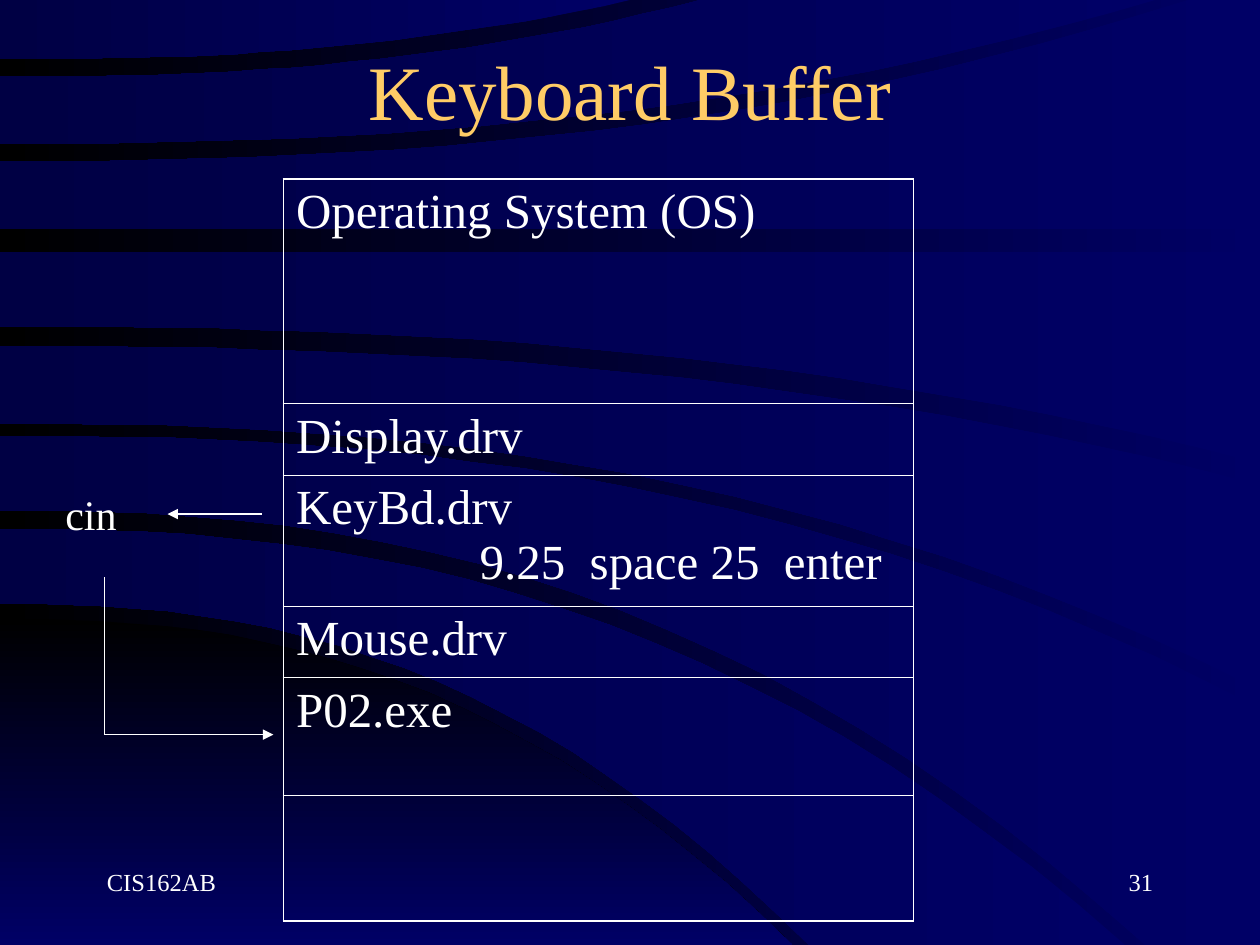
from lxml import etree
from pptx import Presentation
from pptx import util as u
from pptx.dml.color import RGBColor
from pptx.enum import shapes, text
from pptx.oxml import ns

FONT = "Times New Roman"
WHITE = RGBColor(255, 255, 255)
GOLD = RGBColor(255, 204, 102)
BLACK = RGBColor(0, 0, 0)
BLUE = RGBColor(0, 0, 102)
NAVY = RGBColor(0, 0, 68)

STEPS = 24
BEND = 2.4
HILL = ((4.91, 6.29, 7.5), (7.5, 6.29, 7.5))
BANDS = [
    ((4.2, 8.93, 7.5), (4.79, 6.42, 7.5)),
    ((3.46, 10, 5.62), (4.05, 9.09, 7.5)),
    ((2.75, 10, 3.85), (3.36, 10, 5.48)),
    ((2, 10, 2), (2.59, 10, 3.68)),
    ((1.28, 9.43, 0), (1.82, 10, 1.82)),
    ((0.61, 5.56, 0), (1.14, 9.17, 0)),
    ((0, 5, 0), (0.47, 5, 0)),
]
ROWS = [
    (1.78, ["Operating System (OS)"]),
    (0.57, ["Display.drv"]),
    (1.04, ["KeyBd.drv", "9.25  space 25  enter"]),
    (0.57, ["Mouse.drv"]),
    (0.93, ["P02.exe"]),
    (1, []),
]
LABELS = [
    ("cin", (0.42, 3.83, 1.08, 0.5), 24, text.PP_ALIGN.LEFT),
    ("31", (7.17, 6.83, 2.08, 0.5), 14, text.PP_ALIGN.RIGHT),
    ("CIS162AB", (0.75, 6.83, 2.08, 0.5), 14, text.PP_ALIGN.LEFT),
]
LINES = [
    ((1.33, 4.08), (2.08, 4.08), "a:headEnd"),
    ((0.83, 5.83), (2.17, 5.83), "a:tailEnd"),
    ((0.83, 4.58), (0.83, 5.83), None),
]


def size(inch):
    return u.Cm(inch * 2.54)


def write(para, words, pts, color=WHITE):
    run = para.add_run()
    run.text = words
    run.font.size = u.Pt(pts)
    run.font.name = FONT
    run.font.color.rgb = color


def blend(fill, first, last, angle):
    fill.gradient()
    fill.gradient_angle = angle
    for stop, color in zip(fill.gradient_stops, (first, last)):
        stop.color.rgb = color


def curve(start, right, end):
    parts = [i / STEPS for i in range(STEPS + 1)]
    return [(right * t, start + (end - start) * t ** BEND) for t in parts]


def sweep(slide, upper, lower, first, last, angle):
    ends = sorted([upper[1:], lower[1:]])
    corner = (ends[1][0], ends[0][1])
    points = curve(*upper) + [corner] + curve(*lower)[::-1]
    dots = [(round(x * 100), round(y * 100)) for x, y in points]
    pen = slide.shapes.build_freeform(*dots[0], scale=size(0.01))
    pen.add_line_segments(dots[1:], close=True)
    band = pen.convert_to_shape()
    band.shadow.inherit = False
    band.line.fill.background()
    blend(band.fill, first, last, angle)


def border(cell, side, pts):
    props = cell._tc.get_or_add_tcPr()
    line = etree.SubElement(props, ns.qn("a:ln" + side), w=str(u.Pt(pts)))
    fill = etree.SubElement(line, ns.qn("a:solidFill"))
    etree.SubElement(fill, ns.qn("a:srgbClr"), val=str(WHITE))


def stack(slide):
    high = sum(row[0] for row in ROWS)
    frame = slide.shapes.add_table(len(ROWS), 1, size(2.25), size(1.42), size(5), size(high))
    table = frame.table
    table.first_row = table.horz_banding = False
    for i, (tall, lines) in enumerate(ROWS):
        table.rows[i].height = size(tall)
        cell = table.cell(i, 0)
        top = 1.08 if i == 0 else 0.45
        base = 1.08 if i == len(ROWS) - 1 else 0.45
        for side, pts in zip("LRTB", (1.08, 1.08, top, base)):
            border(cell, side, pts)
        cell.fill.background()
        body = cell.text_frame
        for j, words in enumerate(lines):
            para = body.add_paragraph() if j else body.paragraphs[0]
            if j:
                para._p.get_or_add_pPr().set("marL", str(u.Cm(3.7)))
            else:
                para.space_before = u.Pt(7)
            write(para, words, 28)


def link(slide, start, end, tip):
    line = slide.shapes.add_connector(
        shapes.MSO_CONNECTOR.STRAIGHT, *map(size, start + end))
    line.line.color.rgb = WHITE
    line.line.width = u.Pt(0.75)
    props = line._element.spPr
    if tip:
        etree.SubElement(props.find(ns.qn("a:ln")), ns.qn(tip), type="triangle")
    etree.SubElement(props, ns.qn("a:effectLst"))


def main():
    deck = Presentation()
    deck.slide_width, deck.slide_height = size(10), size(7.5)
    slide = deck.slides.add_slide(deck.slide_layouts[5])
    blend(slide.background.fill, BLUE, BLACK, 180)
    sweep(slide, *HILL, BLACK, BLUE, 270)
    for band in BANDS:
        sweep(slide, *band, BLUE, NAVY, 180)

    title = slide.shapes.title
    slide.shapes._spTree.append(title._element)
    title.left, title.top, title.width, title.height = map(size, (0.75, 0.17, 8.5, 1.08))
    title.text_frame.vertical_anchor = text.MSO_ANCHOR.MIDDLE
    para = title.text_frame.paragraphs[0]
    para.alignment = text.PP_ALIGN.CENTER
    write(para, "Keyboard Buffer", 44, GOLD)

    stack(slide)
    for line in LINES:
        link(slide, *line)
    for words, place, pts, align in LABELS:
        body = slide.shapes.add_textbox(*map(size, place)).text_frame
        body.word_wrap = True
        body.paragraphs[0].alignment = align
        write(body.paragraphs[0], words, pts)
    deck.save("out.pptx")


if __name__ == "__main__":
    main()
